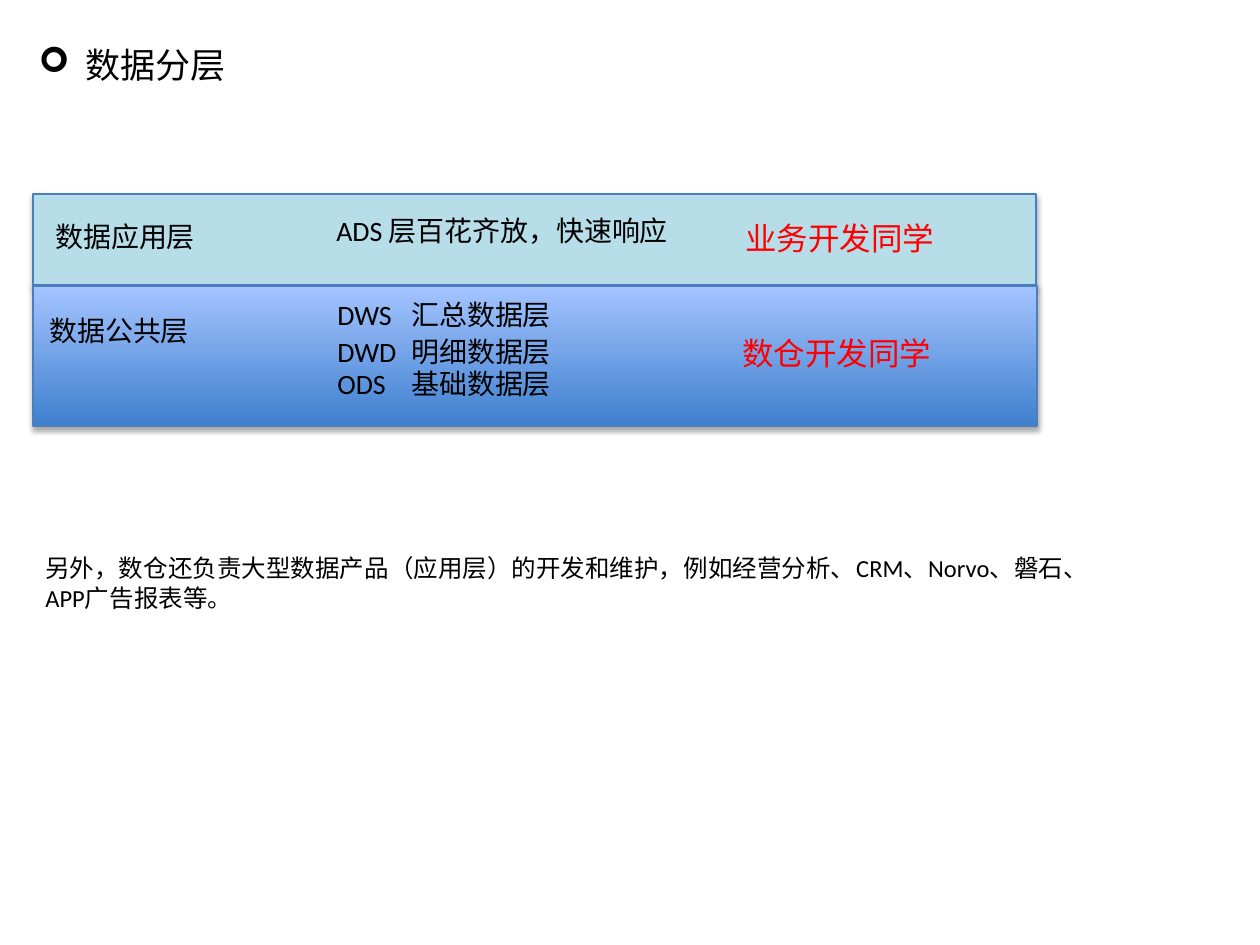
from lxml.etree import SubElement
from pptx import Presentation
from pptx.dml.color import RGBColor
from pptx.enum.shapes import MSO_SHAPE
from pptx.enum.text import MSO_ANCHOR, PP_ALIGN
from pptx.oxml.ns import qn
from pptx.util import Pt

PX = 914400 // 126

BLACK = RGBColor(0x00, 0x00, 0x00)
RED = RGBColor(0xFF, 0x00, 0x00)
PALE_TEAL = RGBColor(0xB7, 0xDE, 0xE8)
DEEP_BLUE = RGBColor(0x3F, 0x80, 0xCE)
LIGHT_BLUE = RGBColor(0xA4, 0xC4, 0xFF)
BORDER_BLUE = RGBColor(0x4B, 0x7E, 0xBC)

TITLE = "数据分层"
TITLE_BOX = (26, 37, 359, 55)
TITLE_INDENT = 47

# left, top, width, height, fill colours (two make a gradient, bottom to top)
LAYERS = [
    (33, 194, 1003, 91, [PALE_TEAL]),
    (33, 286, 1004, 140, [DEEP_BLUE, LIGHT_BLUE]),
]

# text, left, top, width, height, size, colour
LABELS = [
    ("数据应用层", 43, 213, 299, 47, 16, BLACK),
    ("ADS 层百花齐放，快速响应", 324, 207, 410, 47, 16, BLACK),
    ("业务开发同学", 733, 213, 246, 50, 18, RED),
    ("数据公共层", 37, 307, 326, 47, 16, BLACK),
    ("DWS\t汇总数据层", 325, 291, 532, 47, 16, BLACK),
    ("DWD\t明细数据层", 325, 328, 532, 47, 16, BLACK),
    ("ODS\t基础数据层", 325, 360, 532, 47, 16, BLACK),
    ("数仓开发同学", 730, 328, 300, 50, 18, RED),
]
NAME_TAB = 74

NOTE = ("另外，数仓还负责大型数据产品（应用层）的开发和维护，"
        "例如经营分析、CRM、Norvo、磐石、APP广告报表等。",
        33, 547, 1106, 72, 14, BLACK)


def to_emu(*lengths):
    return [length * PX for length in lengths]


def format_paragraph(paragraph, size, color, font_name="Calibri"):
    paragraph.font.size = Pt(size)
    paragraph.font.name = font_name
    paragraph.font.color.rgb = color


def add_title(slide):
    title = slide.shapes.title
    title.left, title.top, title.width, title.height = to_emu(*TITLE_BOX)
    title.text_frame.text = TITLE
    title.text_frame.vertical_anchor = MSO_ANCHOR.TOP
    paragraph = title.text_frame.paragraphs[0]
    paragraph.alignment = PP_ALIGN.LEFT
    properties = paragraph._p.get_or_add_pPr()
    properties.set("marL", str(TITLE_INDENT * PX))
    properties.set("indent", str(-TITLE_INDENT * PX))
    SubElement(properties, qn("a:buFont"), typeface="Wingdings")
    SubElement(properties, qn("a:buChar"), char="➢")
    format_paragraph(paragraph, 20, BLACK, "Noto Sans CJK SC")


def add_soft_shadow(shape):
    shape.shadow.inherit = False
    effects = shape._element.spPr.find(qn("a:effectLst"))
    shadow = SubElement(effects, qn("a:outerShdw"), blurRad="40000",
                        dist="23000", dir="5400000", rotWithShape="0")
    color = SubElement(shadow, qn("a:srgbClr"), val=str(BLACK))
    SubElement(color, qn("a:alpha"), val="35000")


def add_layer(shapes, left, top, width, height, colors):
    layer = shapes.add_shape(MSO_SHAPE.RECTANGLE,
                             *to_emu(left, top, width, height))
    if len(colors) == 1:
        layer.fill.solid()
        layer.fill.fore_color.rgb = colors[0]
    else:
        layer.fill.gradient()
        layer.fill.gradient_angle = 90
        for stop, color in zip(layer.fill.gradient_stops, colors):
            stop.color.rgb = color
    layer.line.color.rgb = BORDER_BLUE
    layer.line.width = Pt(0.75)
    add_soft_shadow(layer)


def add_label(shapes, text, left, top, width, height, size, color):
    box = shapes.add_textbox(*to_emu(left, top, width, height))
    box.text_frame.word_wrap = True
    box.text_frame.text = text
    paragraph = box.text_frame.paragraphs[0]
    if "\t" in text:
        tabs = SubElement(paragraph._p.get_or_add_pPr(), qn("a:tabLst"))
        SubElement(tabs, qn("a:tab"), pos=str(NAME_TAB * PX), algn="l")
    format_paragraph(paragraph, size, color)


def main():
    presentation = Presentation()
    presentation.slide_width, presentation.slide_height = to_emu(1260, 945)
    slide = presentation.slides.add_slide(presentation.slide_layouts[5])
    add_title(slide)
    diagram = slide.shapes.add_group_shape()
    for layer in LAYERS:
        add_layer(diagram.shapes, *layer)
    for label in LABELS:
        add_label(diagram.shapes, *label)
    add_label(slide.shapes, *NOTE)
    presentation.save("out.pptx")


if __name__ == "__main__":
    main()
